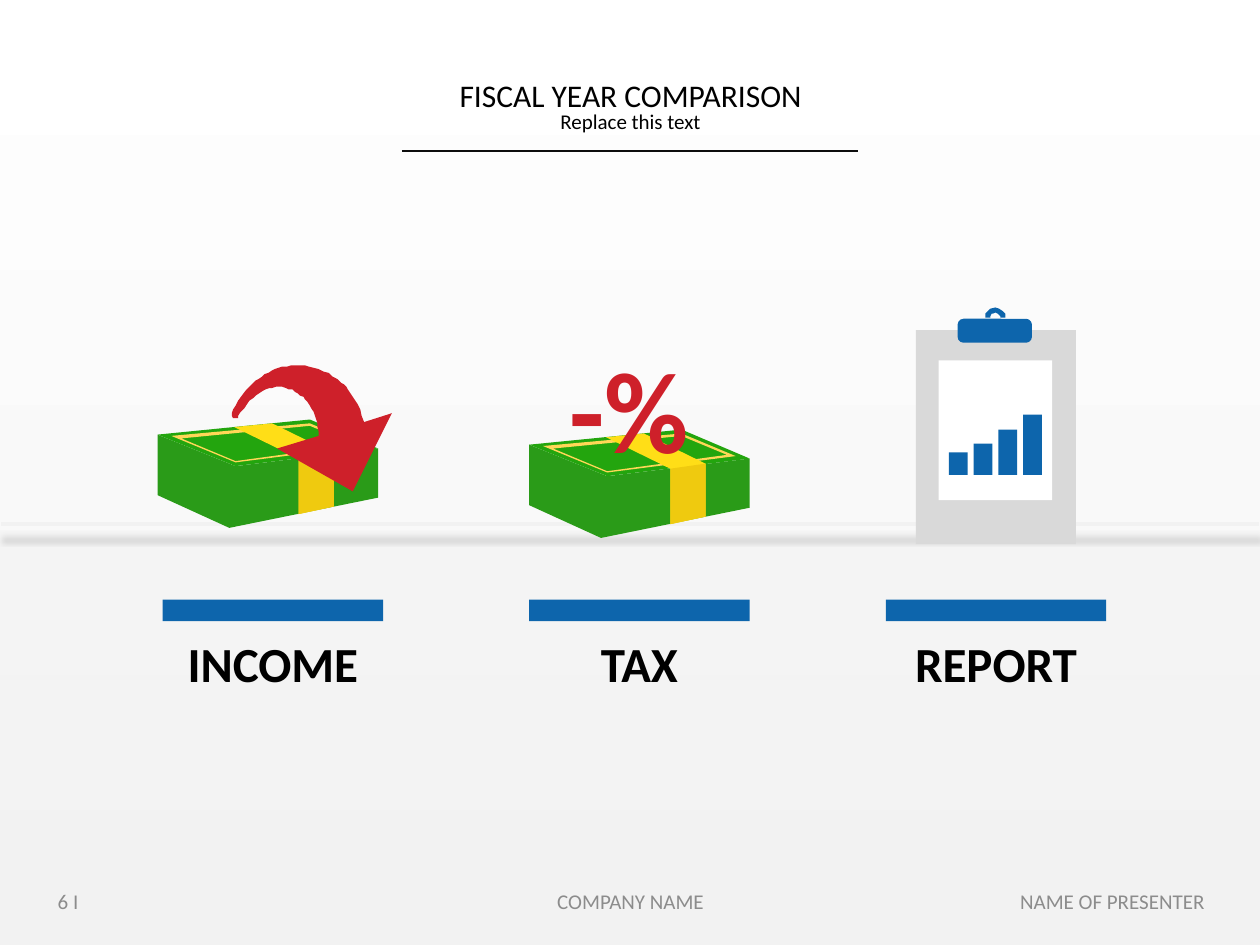
from lxml.etree import SubElement
from pptx import Presentation
from pptx.dml.color import RGBColor
from pptx.enum.shapes import MSO_CONNECTOR, MSO_SHAPE
from pptx.enum.text import MSO_ANCHOR, MSO_AUTO_SIZE, PP_ALIGN
from pptx.oxml.ns import qn
from pptx.util import Inches, Pt

GREEN_SIDE, GREEN_TOP = "2A9B18", "23A50E"
YELLOW, YELLOW_SIDE, YELLOW_RIM = "FFDE17", "EFCA0F", "FFD757"
RED, BLUE, BOARD, PALE, FOOTER = "CE202A", "0D65AC", "D9D9D9", "F2F2F2", "8C8C8C"

# Contours of a bundle of notes, relative to the left edge and the top
BUNDLE = [
    (GREEN_SIDE, [[(1.75, 0.62), (1.75, 0.23), (0.62, 0.37), (0, 0.12), (0, 0.6), (0.57, 0.86)]]),
    (GREEN_TOP, [[(1.21, 0), (1.75, 0.23), (0.62, 0.37), (0, 0.12)]]),
    (YELLOW_RIM, [[(0.62, 0.34), (1.64, 0.21), (1.21, 0.03), (0.11, 0.13)],
                  [(1.57, 0.2), (0.62, 0.33), (0.19, 0.15), (1.21, 0.05)]]),
    (YELLOW, [[(1.4, 0.27), (1.4, 0.69), (1.12, 0.75), (1.12, 0.31), (0.61, 0.06), (0.91, 0.03)]]),
    (YELLOW_SIDE, [[(1.4, 0.27), (1.4, 0.69), (1.12, 0.75), (1.12, 0.31)]]),
]
CURVED_ARROW = [
    (2.8, 3.9), (2.2, 3.56), (2.53, 3.46), (2.53, 3.43), (2.52, 3.39), (2.52, 3.36), (2.51, 3.33),
    (2.5, 3.3), (2.49, 3.27), (2.47, 3.24), (2.46, 3.22), (2.44, 3.19), (2.42, 3.17), (2.41, 3.15),
    (2.38, 3.14), (2.36, 3.12), (2.34, 3.11), (2.32, 3.09), (2.29, 3.09), (2.27, 3.08), (2.24, 3.07),
    (2.19, 3.07), (2.16, 3.08), (2.14, 3.08), (2.11, 3.09), (2.09, 3.1), (2.06, 3.12), (2.03, 3.14),
    (2.01, 3.16), (1.98, 3.18), (1.96, 3.21), (1.94, 3.24), (1.91, 3.27), (1.89, 3.3), (1.89, 3.32),
    (1.87, 3.32), (1.85, 3.32), (1.84, 3.3), (1.84, 3.28), (1.85, 3.25), (1.87, 3.22), (1.89, 3.18),
    (1.92, 3.14), (1.95, 3.1), (1.99, 3.06), (2.01, 3.04), (2.03, 3.02), (2.05, 3.01), (2.08, 2.99),
    (2.1, 2.97), (2.13, 2.96), (2.16, 2.94), (2.18, 2.93), (2.21, 2.92), (2.24, 2.91), (2.28, 2.91),
    (2.31, 2.9), (2.34, 2.9), (2.38, 2.9), (2.42, 2.9), (2.45, 2.91), (2.49, 2.92), (2.53, 2.93),
    (2.57, 2.95), (2.61, 2.96), (2.64, 2.99), (2.68, 3.01), (2.71, 3.04), (2.73, 3.05), (2.75, 3.07),
    (2.76, 3.09), (2.78, 3.12), (2.8, 3.15), (2.82, 3.18), (2.84, 3.21), (2.86, 3.25), (2.87, 3.3),
    (2.89, 3.35), (3.11, 3.28),
]
CLIP_RING = [
    (7.9, 2.48), (7.92, 2.49), (7.94, 2.51), (7.94, 2.52), (7.98, 2.52), (7.98, 2.49), (7.96, 2.47),
    (7.93, 2.45), (7.9, 2.44), (7.86, 2.45), (7.84, 2.47), (7.82, 2.49), (7.82, 2.52), (7.86, 2.52),
    (7.86, 2.51), (7.87, 2.49), (7.88, 2.49),
]


def rgb(value):
    return RGBColor.from_string(value)


class Sketch:
    """Draws styled elements on the current slide or group."""

    font = "Calibri"

    def __init__(self, page):
        self.page = page
        self.shapes = page.shapes

    def start_group(self):
        self.shapes = self.page.shapes.add_group_shape().shapes

    def end_group(self):
        self.shapes = self.page.shapes

    def paint(self, shape, color):
        shape.shadow.inherit = False
        shape.line.fill.background()
        shape.fill.solid()
        shape.fill.fore_color.rgb = rgb(color)
        return shape

    def block(self, left, top, width, height, color, preset=MSO_SHAPE.RECTANGLE):
        shape = self.shapes.add_shape(
            preset, Inches(left), Inches(top), Inches(width), Inches(height))
        return self.paint(shape, color)

    def outline(self, contours, color, left=0, top=0):
        """Fill closed contours; a second contour cuts a hole in the first."""
        placed = [[(Inches(left + x), Inches(top + y)) for x, y in contour] for contour in contours]
        builder = self.shapes.build_freeform(*placed[0][0])
        for index, contour in enumerate(placed):
            if index:
                builder.move_to(*contour[0])
            builder.add_line_segments(contour[1:], close=True)
        return self.paint(builder.convert_to_shape(), color)

    def rule(self, left, right, y, color, weight):
        """Draw a horizontal line and return its empty effect list."""
        line = self.shapes.add_connector(
            MSO_CONNECTOR.STRAIGHT, Inches(left), Inches(y), Inches(right), Inches(y))
        line.line.color.rgb = rgb(color)
        line.line.width = Pt(weight)
        return SubElement(line._element.spPr, qn("a:effectLst"))

    def text(self, left, top, width, height, *lines, color="000000", bold=False, spacing=None,
             align=PP_ALIGN.CENTER, anchor=MSO_ANCHOR.MIDDLE, inset=0.05, grow=False, wrap=True):
        """Add a text box; each line is a pair of words and point size."""
        box = self.shapes.add_textbox(Inches(left), Inches(top), Inches(width), Inches(height))
        frame = box.text_frame
        frame.word_wrap = wrap
        frame.vertical_anchor = anchor
        frame.margin_top = frame.margin_bottom = Inches(inset)
        if grow:
            frame.auto_size = MSO_AUTO_SIZE.SHAPE_TO_FIT_TEXT
        for index, (words, size) in enumerate(lines):
            para = frame.add_paragraph() if index else frame.paragraphs[0]
            para.alignment = align
            para.line_spacing = spacing
            span = para.add_run()
            span.text = words
            span.font.name = self.font
            span.font.size = Pt(size)
            span.font.bold = bold
            span.font.color.rgb = rgb(color)

    def bundle(self, left, top):
        for color, contours in BUNDLE:
            self.outline(contours, color, left, top)


def draw_backdrop(sketch):
    wall = sketch.block(0, 0, 10, 7.5, "FFFFFF")
    wall.fill.gradient()
    wall.fill.gradient_angle = 90
    for stop, color in zip(wall.fill.gradient_stops, (PALE, "FFFFFF")):
        stop.color.rgb = rgb(color)
    floor = sketch.block(0, 4.21, 10, 3.29, PALE)
    floor_color = floor.fill._xPr.find(qn("a:solidFill"))[0]
    SubElement(floor_color, qn("a:alpha"), val="49000")
    effects = sketch.rule(0.01, 9.99, 4.16, PALE, 2)
    shadow = SubElement(effects, qn("a:outerShdw"), blurRad=str(Pt(3.1)), dist=str(Pt(8.5)),
                        dir="5400000", rotWithShape="0")
    shadow_color = SubElement(shadow, qn("a:srgbClr"), val="000000")
    SubElement(shadow_color, qn("a:alpha"), val="16000")


def draw_clipboard(sketch):
    sketch.block(7.27, 2.62, 1.27, 1.7, BOARD)
    sketch.outline([CLIP_RING], BLUE)
    clip = sketch.block(7.6, 2.53, 0.59, 0.19, BLUE, MSO_SHAPE.ROUNDED_RECTANGLE)
    clip.adjustments[0] = 0.25
    sketch.block(7.45, 2.86, 0.9, 1.11, "FFFFFF")
    for index, height in enumerate((0.18, 0.25, 0.36, 0.48)):
        sketch.block(7.53 + 0.59 * index / 3, 3.77 - height, 0.15, height, BLUE)


def main():
    deck = Presentation()
    deck.slide_width, deck.slide_height = Inches(10), Inches(7.5)
    sketch = Sketch(deck.slides.add_slide(deck.slide_layouts[6]))
    draw_backdrop(sketch)

    sketch.text(3.4, 0.61, 3.21, 0.5, ("FISCAL YEAR COMPARISON", 18), ("Replace this text", 12),
                spacing=0.8, anchor=MSO_ANCHOR.TOP, grow=True)
    sketch.rule(3.19, 6.81, 1.2, "0D0D0D", 1)

    sketch.start_group()
    sketch.bundle(1.25, 3.33)
    sketch.outline([CURVED_ARROW], RED)
    sketch.start_group()
    sketch.bundle(4.2, 3.41)
    sketch.text(4.42, 2.58, 1.16, 1.31, ("-%", 66), color=RED, bold=True,
                align=PP_ALIGN.LEFT, inset=0.1, grow=True, wrap=False)
    sketch.start_group()
    draw_clipboard(sketch)
    sketch.end_group()

    for left, label in ((1.29, "INCOME"), (4.2, "TAX"), (7.03, "REPORT")):
        sketch.block(left, 4.76, 1.75, 0.17, BLUE)
        sketch.text(left, 4.93, 1.75, 0.67, (label, 28), bold=True, inset=0.1, grow=True)

    for left, width, words, align in (
            (0.36, 2.33, "6 I", PP_ALIGN.LEFT),
            (3.42, 3.17, "COMPANY NAME", PP_ALIGN.CENTER),
            (7.33, 2.33, "NAME OF PRESENTER", PP_ALIGN.RIGHT)):
        sketch.text(left, 6.95, width, 0.4, (words, 12), color=FOOTER, align=align)

    deck.save("out.pptx")


if __name__ == "__main__":
    main()
